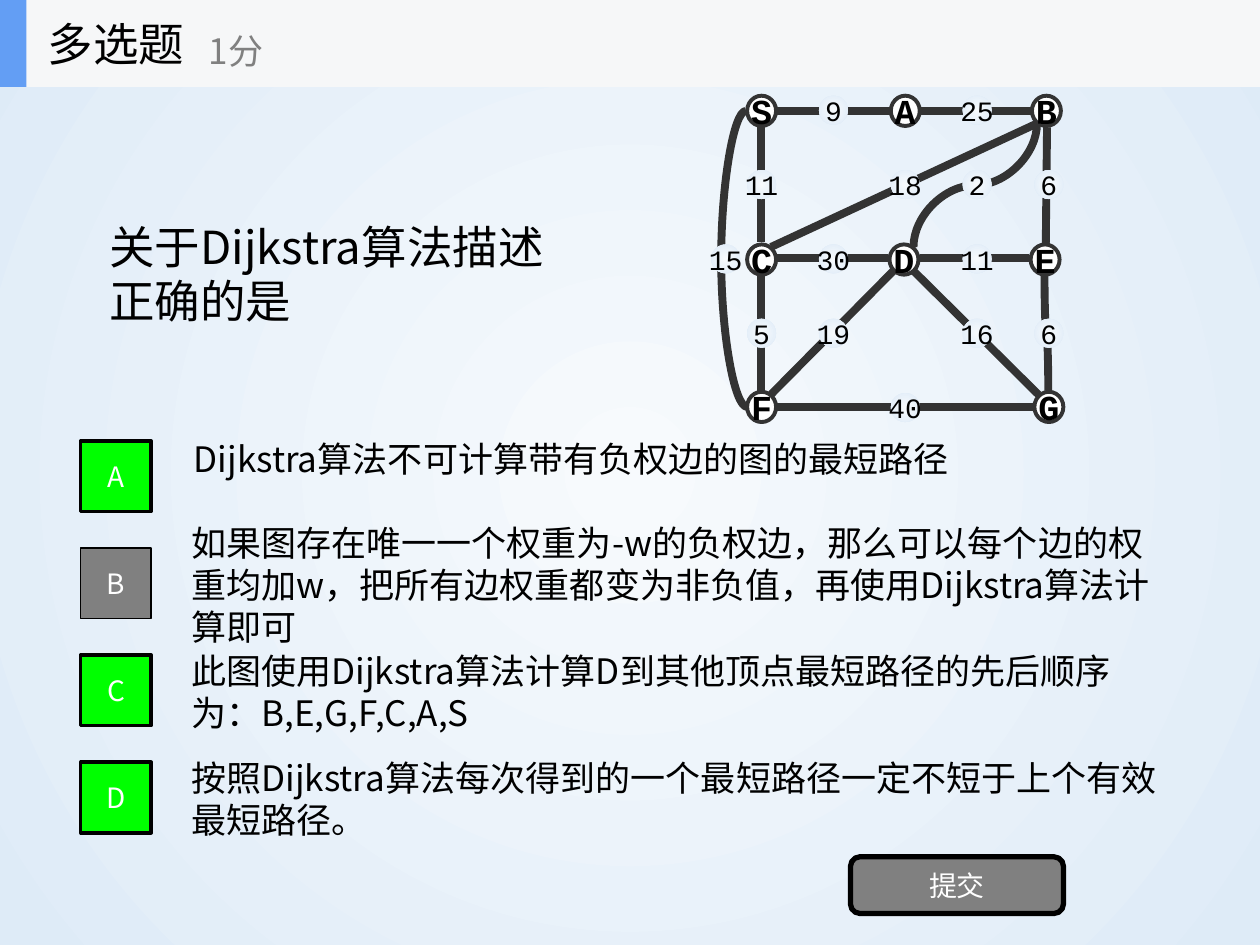
"""Build a multiple-choice quiz slide about Dijkstra's algorithm with a weighted graph."""
from copy import deepcopy

from lxml.etree import SubElement
from pptx import Presentation
from pptx.dml.color import RGBColor
from pptx.enum.shapes import MSO_CONNECTOR, MSO_SHAPE
from pptx.enum.text import MSO_ANCHOR, PP_ALIGN
from pptx.oxml.ns import qn
from pptx.util import Inches, Pt

SANS = "Noto Sans CJK SC"
MONO = "Courier New"


def rgb(value):
    return RGBColor.from_string(value)


def put(text, left, top, width, height, *, kind=None, fill=None, line=None, weight=1,
        size=20, font=SANS, color="000000", bold=None, wrap=True, inset=None,
        align=PP_ALIGN.LEFT):
    box = [Inches(v) for v in (left, top, width, height)]
    if kind is None:
        item = slide.shapes.add_textbox(*box)
    else:
        item = slide.shapes.add_shape(kind, *box)
        item.shadow.inherit = False
        item.fill.background()
        item.line.fill.background()
    if fill:
        item.fill.solid()
        item.fill.fore_color.rgb = rgb(fill)
    if line:
        item.line.color.rgb = rgb(line)
        item.line.width = Pt(weight)
    frame = item.text_frame
    frame.word_wrap = wrap
    frame.vertical_anchor = MSO_ANCHOR.MIDDLE
    if inset is not None:
        frame.margin_left = frame.margin_right = Inches(inset)
        frame.margin_top = frame.margin_bottom = Inches(inset)
    for index, words in enumerate(text.split("\n") if text else []):
        paragraph = frame.add_paragraph() if index else frame.paragraphs[0]
        paragraph.alignment = align
        run = paragraph.add_run()
        run.text = words
        run.font.size = Pt(size)
        run.font.name = font
        run.font.bold = bold
        run.font.color.rgb = rgb(color)
        SubElement(run.font._element, qn("a:ea"), typeface=font)
    return item


deck = Presentation()
deck.slide_width = Inches(10)
deck.slide_height = Inches(7.5)
slide = deck.slides.add_slide(deck.slide_layouts[6])

backdrop = slide.background.fill
backdrop.gradient()
for stop, (position, tint) in zip(backdrop.gradient_stops, [(0, "F7FAFD"), (1, "DEEBF7")]):
    stop.position = position
    stop.color.rgb = rgb(tint)
glow = slide.background._cSld.find(".//" + qn("a:gradFill"))
glow.remove(glow.find(qn("a:lin")))
radial = SubElement(glow, qn("a:path"), path="circle")
SubElement(radial, qn("a:fillToRect"), l="50000", t="50000", r="50000", b="50000")

put("关于Dijkstra算法描述\n正确的是", 0.77, 1, 8, 2.34, size=26)

options = [
    ("A", "Dijkstra算法不可计算带有负权边的图的最短路径", 1.44, 3.29, 7, "00FF00", 2),
    ("B", "如果图存在唯一一个权重为-w的负权边，那么可以每个边的权重均加w，"
          "把所有边权重都变为非负值，再使用Dijkstra算法计算即可", 1.42, 4.29, 7.87, "808080", 1),
    ("C", "此图使用Dijkstra算法计算D到其他顶点最短路径的先后顺序为：B,E,G,F,C,A,S",
     1.42, 5.14, 7.75, "00FF00", 2),
    ("D", "按照Dijkstra算法每次得到的一个最短路径一定不短于上个有效最短路径。",
     1.42, 5.99, 7.87, "00FF00", 2),
]
for row, (letter, statement, left, top, width, tint, weight) in enumerate(options):
    put(statement, left, top, width, 0.7)
    put(letter, 0.64, 3.5 + 0.85 * row, 0.56, 0.56, kind=MSO_SHAPE.RECTANGLE, fill=tint,
        line="000000", weight=weight, size=16, color="FFFFFF", align=PP_ALIGN.CENTER)
put("提交", 6.75, 6.8, 1.69, 0.45, kind=MSO_SHAPE.ROUNDED_RECTANGLE, fill="808080",
    line="000000", weight=3, size=16, color="FFFFFF", align=PP_ALIGN.CENTER)

vertices = [("S", 5.93, 0.76), ("A", 7.07, 0.76), ("B", 8.19, 0.76),
            ("C", 5.93, 1.94), ("D", 7.06, 1.94), ("E", 8.18, 1.94),
            ("F", 5.93, 3.11), ("G", 8.21, 3.11)]
for letter, left, top in vertices:
    put(letter, left, top, 0.23, 0.24, kind=MSO_SHAPE.OVAL, fill="FFFFFF", line="333333",
        weight=2.25, font=MONO, bold=True, wrap=False, inset=0, align=PP_ALIGN.CENTER)

straight_edges = [
    (6.04, 1.01, 6.04, 1.92), (6.04, 2.18, 6.04, 3.1), (7.25, 2.15, 8.24, 3.13),
    (6.12, 1.96, 8.23, 0.98), (6.17, 2.05, 7.05, 2.05), (6.12, 3.13, 7.09, 2.15),
    (8.3, 1.93, 8.31, 1.01), (6.17, 3.23, 8.2, 3.23), (7.31, 0.88, 8.18, 0.88),
    (6.17, 0.88, 7.06, 0.88), (7.3, 2.05, 8.17, 2.05),
]
curved_edges = [
    (5.92, 0.88, 5.93, 3.23, 0, -20),
    (8.76, 2.63, 7.85, 2.66, 270, 0.5),
    (7.25, 0.98, 8.23, 1.96, 90, 0.5),
]
for x1, y1, x2, y2, *bend in straight_edges + curved_edges:
    style = MSO_CONNECTOR.CURVE if bend else MSO_CONNECTOR.STRAIGHT
    edge = slide.shapes.add_connector(style, Inches(x1), Inches(y1), Inches(x2), Inches(y2))
    edge.line.color.rgb = rgb("333333")
    edge.line.width = Pt(4.5)
    properties = edge._element.spPr
    SubElement(properties, qn("a:effectLst"))
    if bend:
        turn, bulge = bend
        properties.find(qn("a:xfrm")).set("rot", str(turn * 60000))
        guides = properties.find(qn("a:prstGeom")).find(qn("a:avLst"))
        SubElement(guides, qn("a:gd"), name="adj1", fmla=f"val {round(bulge * 100000)}")

weights = [("15", -0.5, 2), ("11", 0, 1), ("5", 0, 3), ("6", 4, 3), ("16", 3, 3),
           ("2", 3, 1), ("18", 2, 1), ("30", 1, 2), ("19", 1, 3), ("6", 4, 1),
           ("40", 2, 4), ("25", 3, 0), ("9", 1, 0), ("11", 3, 2)]
for cost, column, row in weights:
    label = put(cost, 5.93 + 0.57 * column, 0.76 + 0.59 * row, 0.23, 0.23,
                kind=MSO_SHAPE.OVAL, size=16, font=MONO, wrap=False, inset=0,
                align=PP_ALIGN.CENTER)
    properties = label._element.spPr
    properties.replace(properties.find(qn("a:noFill")), deepcopy(glow))

put("", 0, 0, 10, 0.69, kind=MSO_SHAPE.RECTANGLE, fill="F6F7F8")
put("", 0, 0, 0.21, 0.69, kind=MSO_SHAPE.RECTANGLE, fill="639EF4")
put("多选题", 0.28, 0, 2.08, 0.69, size=26)
put("1分", 1.56, 0.12, 2.5, 0.56, color="808080")

deck.save("out.pptx")
